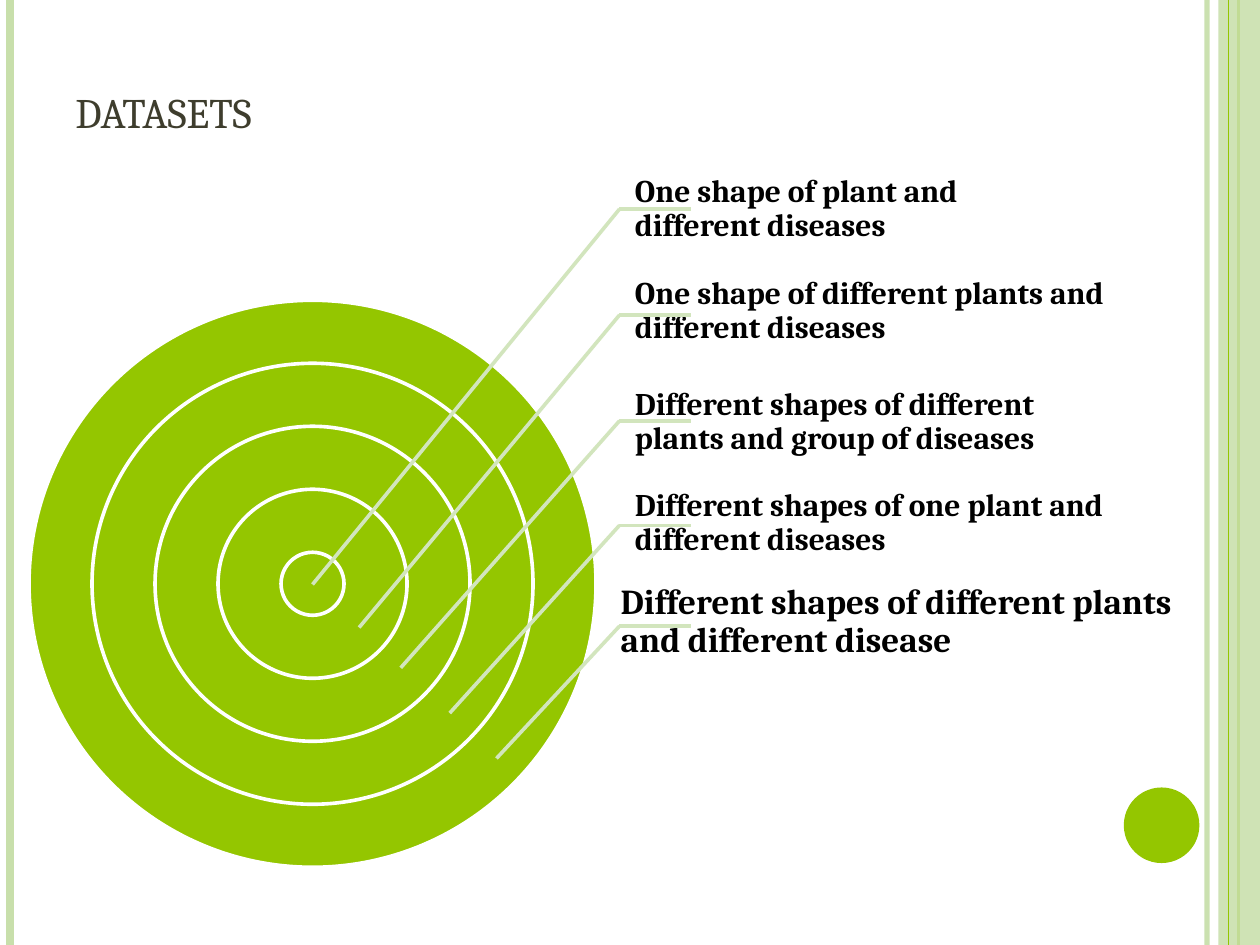
from dataclasses import dataclass

from lxml import etree
from pptx import Presentation
from pptx.dml.color import RGBColor
from pptx.enum import shapes, text
from pptx.oxml.ns import qn
from pptx.util import Pt


@dataclass(frozen=True)
class Theme:
    font: str = "Cambria"
    green: str = "94C600"
    pale: str = "C8DFAB"
    leader: str = "D2E5BD"
    white: str = "FFFFFF"
    black: str = "000000"
    title: str = "3E3D2D"
    title_size: float = 30
    label_size: float = 18
    last_label_size: float = 20
    stroke: float = 2.08


@dataclass(frozen=True)
class Box:
    left: float
    top: float
    width: float
    height: float


@dataclass(frozen=True)
class Rule:
    x: float
    color: str
    weight: float
    opacity: int = 100


@dataclass(frozen=True)
class Label:
    wording: str
    box: Box
    leader_y: float
    tip: tuple[float, float]
    size: float
    inset: float = 10


THEME = Theme()
PAGE_WIDTH, PAGE_HEIGHT = 720, 540
CENTER_X, CENTER_Y = 178.6, 333.6
RING_STEP = 72
RING_DIAMETERS = [36 + RING_STEP * n for n in reversed(range(5))]
ELBOW_X, LEADER_END_X = 354, 394.6

BACK_RULES = [
    Rule(689.8, THEME.pale, 3, 93),
    Rule(5.8, THEME.pale, 4.5),
    Rule(707.8, THEME.green, 1.5),
]
FRONT_RULE = Rule(702, THEME.green, 0.75)
BAND = Box(696.2, 0, 23.8, PAGE_HEIGHT)
BADGE = Box(642.2, 450, 43.2, 43.2)

LABELS = [
    Label("One shape of plant and different diseases",
          Box(352.8, 90.7, 246.2, 57.6), 119.5, (178.6, 334), THEME.label_size),
    Label("One shape of different plants and different diseases",
          Box(352.8, 157, 289.4, 41.8), 180, (205.2, 358.6), THEME.label_size),
    Label("Different shapes of different plants and group of diseases",
          Box(352.8, 219, 286.6, 44.6), 240.5, (229, 381.6), THEME.label_size),
    Label("Different shapes of one plant and different diseases",
          Box(352.8, 270, 286.6, 57.6), 300.2, (257, 407.5), THEME.label_size),
    Label("Different shapes of different plants and different disease",
          Box(343.4, 326.9, 359.3, 57.6), 357.8, (283.7, 433.4),
          THEME.last_label_size, 11.3),
]


def set_opacity(element, percent: int) -> None:
    """Make the solid colour found inside an XML element translucent."""
    if percent < 100:
        color = next(element.iter(qn("a:srgbClr")))
        etree.SubElement(color, qn("a:alpha")).set("val", str(percent * 1000))


def add_filled(page, kind, box: Box, fill: str, outline: str = "", opacity: int = 100) -> None:
    shape = page.shapes.add_shape(
        kind, Pt(box.left), Pt(box.top), Pt(box.width), Pt(box.height))
    shape.shadow.inherit = False
    shape.fill.solid()
    shape.fill.fore_color.rgb = RGBColor.from_string(fill)
    set_opacity(shape._element.spPr, opacity)
    if outline:
        shape.line.color.rgb = RGBColor.from_string(outline)
        shape.line.width = Pt(THEME.stroke)
    else:
        shape.line.fill.background()


def add_line(page, start: tuple[float, float], end: tuple[float, float],
             color: str, weight: float, opacity: int = 100) -> None:
    line = page.shapes.add_connector(
        shapes.MSO_CONNECTOR.STRAIGHT, *(Pt(value) for value in (*start, *end)))
    line.line.color.rgb = RGBColor.from_string(color)
    line.line.width = Pt(weight)
    set_opacity(line._element.spPr, opacity)
    etree.SubElement(line._element.spPr, qn("a:effectLst"))


def add_rule(page, rule: Rule) -> None:
    add_line(page, (rule.x, 0), (rule.x, PAGE_HEIGHT), rule.color, rule.weight, rule.opacity)


def add_text(page, box: Box, wording: str, size: float, color: str, anchor,
             insets: tuple[float, float, float, float], bold: bool = False,
             spacing: float = 1):
    """Add a one-paragraph text box and return its run."""
    shape = page.shapes.add_textbox(
        Pt(box.left), Pt(box.top), Pt(box.width), Pt(box.height))
    frame = shape.text_frame
    frame.word_wrap = True
    frame.vertical_anchor = anchor
    (frame.margin_left, frame.margin_top,
     frame.margin_right, frame.margin_bottom) = (Pt(inset) for inset in insets)
    para = frame.paragraphs[0]
    para.alignment = text.PP_ALIGN.LEFT
    para.line_spacing = spacing
    span = para.add_run()
    span.text = wording
    span.font.name = THEME.font
    span.font.size = Pt(size)
    span.font.bold = bold
    span.font.color.rgb = RGBColor.from_string(color)
    return span


def add_label(page, label: Label) -> None:
    """Add a label with its bent leader into the rings."""
    add_text(page, label.box, label.wording, label.size, THEME.black,
             text.MSO_ANCHOR.MIDDLE, (label.inset, 2.2, 2.2, 2.2), True, 0.9)
    elbow = (ELBOW_X, label.leader_y)
    for end in ((LEADER_END_X, label.leader_y), label.tip):
        add_line(page, elbow, end, THEME.leader, THEME.stroke)


def main() -> None:
    deck = Presentation()
    deck.slide_width, deck.slide_height = Pt(PAGE_WIDTH), Pt(PAGE_HEIGHT)
    page = deck.slides.add_slide(deck.slide_layouts[6])

    for rule in BACK_RULES:
        add_rule(page, rule)
    add_filled(page, shapes.MSO_SHAPE.RECTANGLE, BAND, THEME.pale, opacity=87)
    add_rule(page, FRONT_RULE)
    add_filled(page, shapes.MSO_SHAPE.OVAL, BADGE, THEME.green)

    title = add_text(page, Box(36, 21.6, 588.2, 61.2), "datasets", THEME.title_size,
                     THEME.title, text.MSO_ANCHOR.BOTTOM, (7.2, 3.6, 7.2, 3.6))
    title.font._element.set("cap", "small")

    for diameter in RING_DIAMETERS:
        ring = Box(CENTER_X - diameter / 2, CENTER_Y - diameter / 2, diameter, diameter)
        add_filled(page, shapes.MSO_SHAPE.OVAL, ring, THEME.green, THEME.white)
    for label in LABELS:
        add_label(page, label)

    deck.save("out.pptx")


if __name__ == "__main__":
    main()
